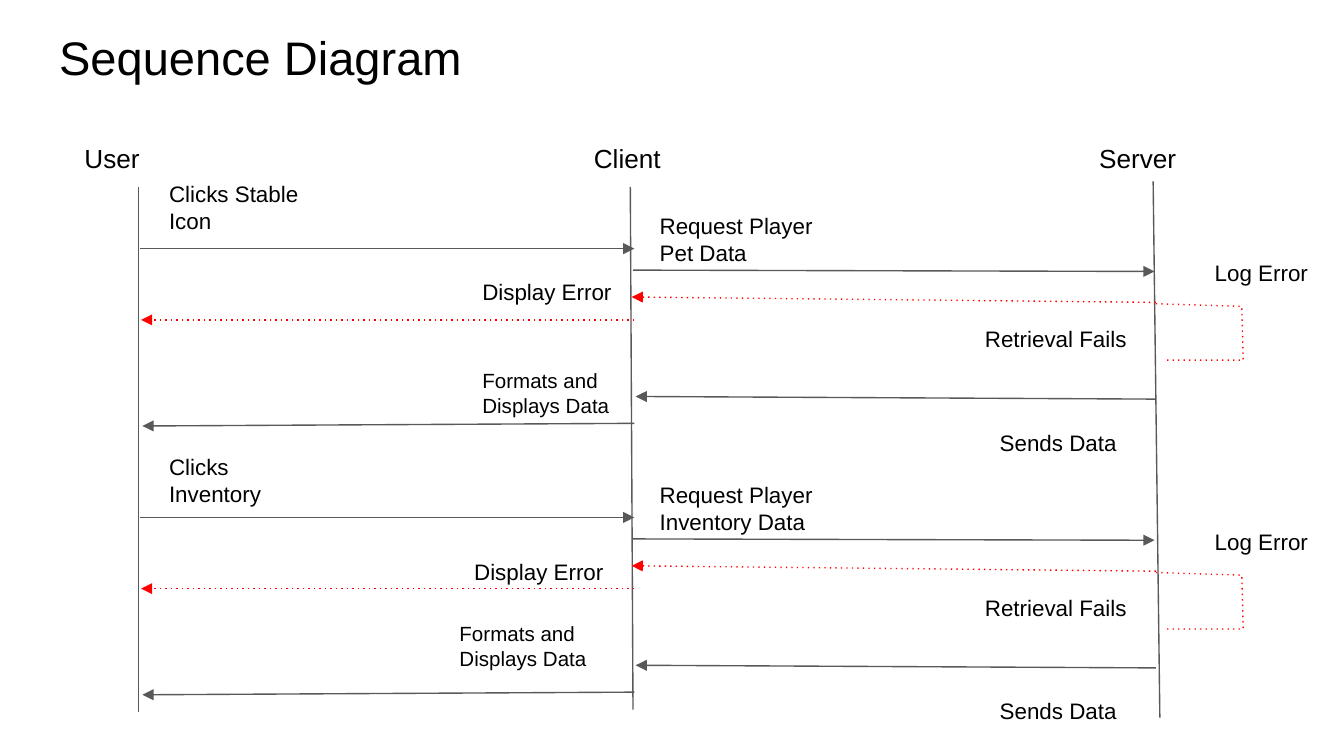
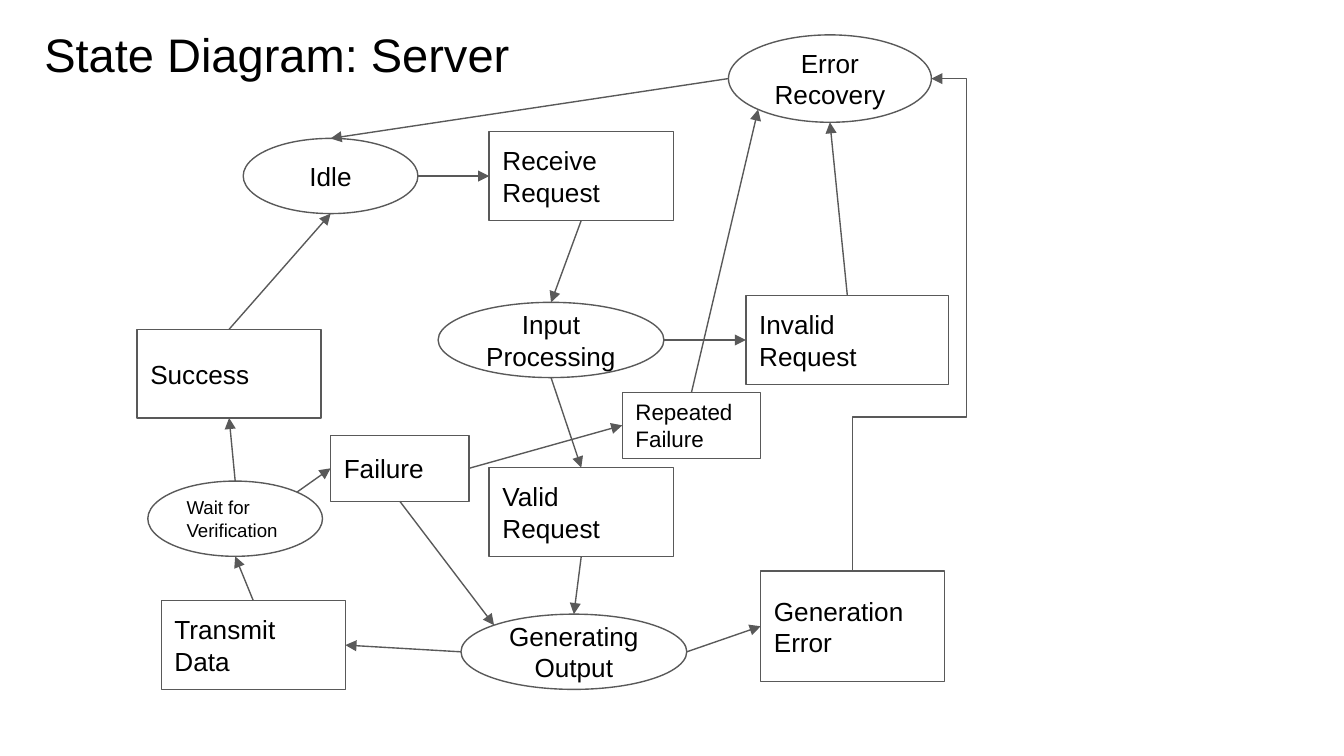
import dataclasses
import math
import typing

import lxml.etree
import pptx
import pptx.dml.color
import pptx.enum.shapes
import pptx.enum.text
import pptx.oxml.ns
import pptx.presentation
import pptx.shapes.autoshape
import pptx.shapes.connector
import pptx.slide
import pptx.util

COLORS = {"ink": "000000", "line": "595959", "error": "FF0000", "paper": "FFFFFF"}
FONT = "Arial"
TITLE_SIZE = 25.2
LINE_WIDTH = 0.75
SLIDE_WIDTH = pptx.util.Inches(10)
SLIDE_HEIGHT = pptx.util.Inches(5.625)
COLUMNS = 100
CELL = SLIDE_WIDTH // COLUMNS
INSET = 1
TITLE_ROWS = 6.3
ROUND_ROWS = 20
LEFT = pptx.enum.text.PP_ALIGN.LEFT
CENTER = pptx.enum.text.PP_ALIGN.CENTER
TOP = pptx.enum.text.MSO_ANCHOR.TOP
MIDDLE = pptx.enum.text.MSO_ANCHOR.MIDDLE
STRAIGHT = pptx.enum.shapes.MSO_CONNECTOR.STRAIGHT
ELBOW = pptx.enum.shapes.MSO_CONNECTOR.ELBOW

Point = tuple[float, float]


@dataclasses.dataclass(frozen=True)
class Label:
    text: str
    column: float
    row: float
    width: float
    height: float = 4
    size: float = 12


@dataclasses.dataclass(frozen=True)
class Arrow:
    start: Point
    end: Point
    color: str = "line"
    dotted: bool = False
    head: bool = True


@dataclasses.dataclass(frozen=True)
class State:
    text: str
    column: float
    row: float
    width: float = 13.7
    height: float = 6.6
    oval: bool = False
    size: float = 14
    align: pptx.enum.text.PP_ALIGN = LEFT

    def site(self, side: str) -> Point:
        across, down = SIDES[side]
        return (self.column + self.width * (1 + across) / 2,
                self.row + self.height * (1 + down) / 2)


class Transition(typing.NamedTuple):
    source: str
    leaves: str
    target: str
    enters: str


DIAGONAL = math.sqrt(0.5)
SIDES = {
    "top": (0, -1),
    "left": (-1, 0),
    "bottom": (0, 1),
    "right": (1, 0),
    "top left": (-DIAGONAL, -DIAGONAL),
    "top right": (DIAGONAL, -DIAGONAL),
    "bottom left": (-DIAGONAL, DIAGONAL),
}
RECTANGLE_SITES = ("top", "left", "bottom", "right")

ACTORS = (
    Label("User", 5.3, 9.6, 9.9, 4.4, 14),
    Label("Client", 43.2, 9.6, 7.5, 4.4, 14),
    Label("Server", 80.8, 9.6, 9.9, 4.4, 14),
)
LIFELINES = (
    Arrow((10.3, 13.9), (10.3, 53), head=False),
    Arrow((46.9, 13.9), (47.1, 52.8), head=False),
    Arrow((85.8, 13.5), (86.3, 53.4), head=False),
)
ROUND_ARROWS = (
    Arrow((10.4, 18.5), (47.2, 18.5)),
    Arrow((47.1, 20.1), (85.9, 20.2)),
    Arrow((86, 22.5), (47, 22.1), "error", True),
    Arrow((47.2, 23.8), (10.5, 23.8), "error", True),
    Arrow((86, 29.7), (47.3, 29.5)),
    Arrow((47.2, 31.5), (10.6, 31.7)),
)
ERROR_LOOP = ((86, 22.6), (92.4, 22.8), (92.5, 26.8), (86.7, 26.8))
ROUND_LABELS = (
    Label("Retrieval Fails", 72.3, 23.2, 14.8),
    Label("Log Error", 89.4, 18.3, 10.6),
    Label("Sends Data", 73.4, 30.9, 12),
)
ROUNDS = (
    (
        Label("Clicks Stable Icon", 11.6, 12.4, 12.7, 6.1),
        Label("Request Player Pet Data", 48.1, 14.8, 13.9, 6.1),
        Label("Display Error", 34.9, 19.7, 12.7),
        Label("Formats and Displays Data", 34.9, 26.4, 13.9, 5.7, 11),
    ),
    (
        Label("Clicks Inventory", 11.6, 12.7, 12.7, 6.1),
        Label("Request Player Inventory Data", 48.1, 14.8, 13.9, 6.1),
        Label("Display Error", 34.3, 20.5, 12.7),
        Label("Formats and Displays Data", 33.2, 25.2, 13.9, 5.7, 11),
    ),
)

STATES = (
    State("Receive Request", 36.4, 9.8),
    State("Valid Request", 36.4, 34.8),
    State("Invalid Request", 55.5, 22, 15.1),
    State("Idle", 18.1, 10.3, 13, 5.6, True, align=CENTER),
    State("Input Processing", 32.6, 22.5, 16.8, 5.6, True, align=CENTER),
    State("Generating Output", 34.3, 45.7, 16.8, 5.6, True, align=CENTER),
    State("Generation Error", 56.6, 42.5, height=8.2),
    State("Error Recovery", 54.2, 2.6, 15.1, 6.5, True, align=CENTER),
    State("Wait for Verification", 11, 35.8, 13, 5.6, True, 10),
    State("Transmit Data", 12, 44.7),
    State("Success", 10.2, 24.5),
    State("Failure", 24.6, 32.4, 10.3, 4.9),
    State("Repeated Failure", 46.3, 29.2, 10.3, 4.9, size=12),
)
TRANSITIONS = (
    Transition("Idle", "right", "Receive Request", "left"),
    Transition("Receive Request", "bottom", "Input Processing", "top"),
    Transition("Input Processing", "right", "Invalid Request", "left"),
    Transition("Input Processing", "bottom", "Valid Request", "top"),
    Transition("Invalid Request", "top", "Error Recovery", "bottom"),
    Transition("Error Recovery", "left", "Idle", "top"),
    Transition("Valid Request", "bottom", "Generating Output", "top"),
    Transition("Generating Output", "right", "Generation Error", "left"),
    Transition("Generating Output", "left", "Transmit Data", "right"),
    Transition("Transmit Data", "top", "Wait for Verification", "bottom"),
    Transition("Wait for Verification", "top", "Success", "bottom"),
    Transition("Success", "top", "Idle", "bottom"),
    Transition("Wait for Verification", "top right", "Failure", "left"),
    Transition("Failure", "bottom", "Generating Output", "top left"),
    Transition("Failure", "right", "Repeated Failure", "left"),
    Transition("Repeated Failure", "top", "Error Recovery", "bottom left"),
)


def cells(*counts: float) -> list[pptx.util.Emu]:
    return [pptx.util.Emu(round(count * CELL)) for count in counts]


def color(name: str) -> pptx.dml.color.RGBColor:
    return pptx.dml.color.RGBColor.from_string(COLORS[name])


def add_tag(parent: typing.Any, tag: str, **attributes: str) -> None:
    lxml.etree.SubElement(parent, pptx.oxml.ns.qn(tag), attributes)


def write(box: typing.Any, text: str, size: float,
          anchor: pptx.enum.text.MSO_ANCHOR = TOP,
          align: pptx.enum.text.PP_ALIGN = LEFT) -> None:
    frame = box.text_frame
    frame.word_wrap = True
    frame.auto_size = pptx.enum.text.MSO_AUTO_SIZE.NONE
    frame.vertical_anchor = anchor
    inset, = cells(INSET)
    frame.margin_left = frame.margin_right = inset
    frame.margin_top = frame.margin_bottom = inset
    para = frame.paragraphs[0]
    para.alignment = align
    span = para.add_run()
    span.text = text
    span.font.name = FONT
    span.font.size = pptx.util.Pt(size)
    span.font.color.rgb = color("ink")


def style_line(shape: typing.Any, name: str = "line",
               dotted: bool = False, head: bool = False) -> None:
    shape.line.color.rgb = color(name)
    shape.line.width = pptx.util.Pt(LINE_WIDTH)
    outline = shape.element.spPr.find(pptx.oxml.ns.qn("a:ln"))
    if dotted:
        add_tag(outline, "a:prstDash", val="dot")
    if head:
        add_tag(outline, "a:tailEnd", type="triangle")


def add_page(deck: pptx.presentation.Presentation, title: str,
             column: float, row: float, width: float) -> pptx.slide.Slide:
    page = deck.slides.add_slide(deck.slide_layouts.get_by_name("Title Only"))
    box = page.shapes.title
    box.left, box.top, box.width, box.height = cells(column, row, width, TITLE_ROWS)
    write(box, title, TITLE_SIZE)
    return page


def add_label(page: pptx.slide.Slide, label: Label, shift: float = 0) -> None:
    box = page.shapes.add_textbox(
        *cells(label.column, label.row + shift, label.width, label.height))
    write(box, label.text, label.size)
    box.text_frame.auto_size = pptx.enum.text.MSO_AUTO_SIZE.SHAPE_TO_FIT_TEXT


def add_arrow(page: pptx.slide.Slide, arrow: Arrow, shift: float = 0,
              kind: pptx.enum.shapes.MSO_CONNECTOR = STRAIGHT
              ) -> pptx.shapes.connector.Connector:
    (left, top), (right, bottom) = arrow.start, arrow.end
    connector = page.shapes.add_connector(
        kind, *cells(left, top + shift, right, bottom + shift))
    style_line(connector, arrow.color, arrow.dotted, arrow.head)
    add_tag(connector.element.spPr, "a:effectLst")
    return connector


def add_error_loop(page: pptx.slide.Slide, shift: float) -> None:
    corners = [cells(column, row + shift) for column, row in ERROR_LOOP]
    builder = page.shapes.build_freeform(*corners[0])
    builder.add_line_segments(corners[1:], close=False)
    loop = builder.convert_to_shape()
    loop.shadow.inherit = False
    loop.fill.background()
    style_line(loop, "error", dotted=True)


def add_state(page: pptx.slide.Slide, state: State) -> pptx.shapes.autoshape.Shape:
    kinds = pptx.enum.shapes.MSO_SHAPE
    box = page.shapes.add_shape(
        kinds.OVAL if state.oval else kinds.RECTANGLE,
        *cells(state.column, state.row, state.width, state.height))
    box.shadow.inherit = False
    if state.oval:
        box.fill.solid()
        box.fill.fore_color.rgb = color("paper")
    else:
        box.fill.background()
    style_line(box)
    write(box, state.text, state.size, MIDDLE, state.align)
    return box


def add_recovery_elbow(page: pptx.slide.Slide, start: Point, end: Point) -> None:
    connector = add_arrow(page, Arrow(start, end), kind=ELBOW)
    rise, run = start[1] - end[1], end[0] - start[0]
    middle, center = (start[0] + end[0]) / 2, (start[1] + end[1]) / 2
    connector.left, connector.top, connector.width, connector.height = cells(
        middle - rise / 2, center - run / 2, rise, run)
    frame = connector.element.spPr.find(pptx.oxml.ns.qn("a:xfrm"))
    frame.attrib.pop("flipV", None)
    frame.set("rot", str(270 * 60000))
    geometry = connector.element.spPr.find(pptx.oxml.ns.qn("a:prstGeom"))
    geometry.set("prst", "bentConnector4")
    guides = geometry.find(pptx.oxml.ns.qn("a:avLst"))
    for name, value in (("adj1", 31300), ("adj2", 144800)):
        add_tag(guides, "a:gd", name=name, fmla=f"val {value}")


def build_sequence(deck: pptx.presentation.Presentation) -> None:
    page = add_page(deck, "Sequence Diagram", 3.4, 1.1, 93.2)
    for actor in ACTORS:
        add_label(page, actor)
    for lifeline in LIFELINES:
        add_arrow(page, lifeline)
    for index, labels in enumerate(ROUNDS):
        shift = index * ROUND_ROWS
        for arrow in ROUND_ARROWS:
            add_arrow(page, arrow, shift)
        add_error_loop(page, shift)
        for label in labels + ROUND_LABELS:
            add_label(page, label, shift)


def build_states(deck: pptx.presentation.Presentation) -> None:
    page = add_page(deck, "State Diagram: Server", 2.3, 0.9, 37.5)
    states = {state.text: state for state in STATES}
    boxes = {state.text: add_state(page, state) for state in STATES}
    for source, leaves, target, enters in TRANSITIONS:
        arrow = Arrow(states[source].site(leaves), states[target].site(enters))
        connector = add_arrow(page, arrow)
        if not states[source].oval:
            connector.begin_connect(boxes[source], RECTANGLE_SITES.index(leaves))
        if not states[target].oval:
            connector.end_connect(boxes[target], RECTANGLE_SITES.index(enters))
    add_recovery_elbow(page, states["Generation Error"].site("top"),
                       states["Error Recovery"].site("right"))


def main() -> None:
    deck = pptx.Presentation()
    deck.slide_width, deck.slide_height = SLIDE_WIDTH, SLIDE_HEIGHT
    build_sequence(deck)
    build_states(deck)
    deck.save("out.pptx")


if __name__ == "__main__":
    main()
